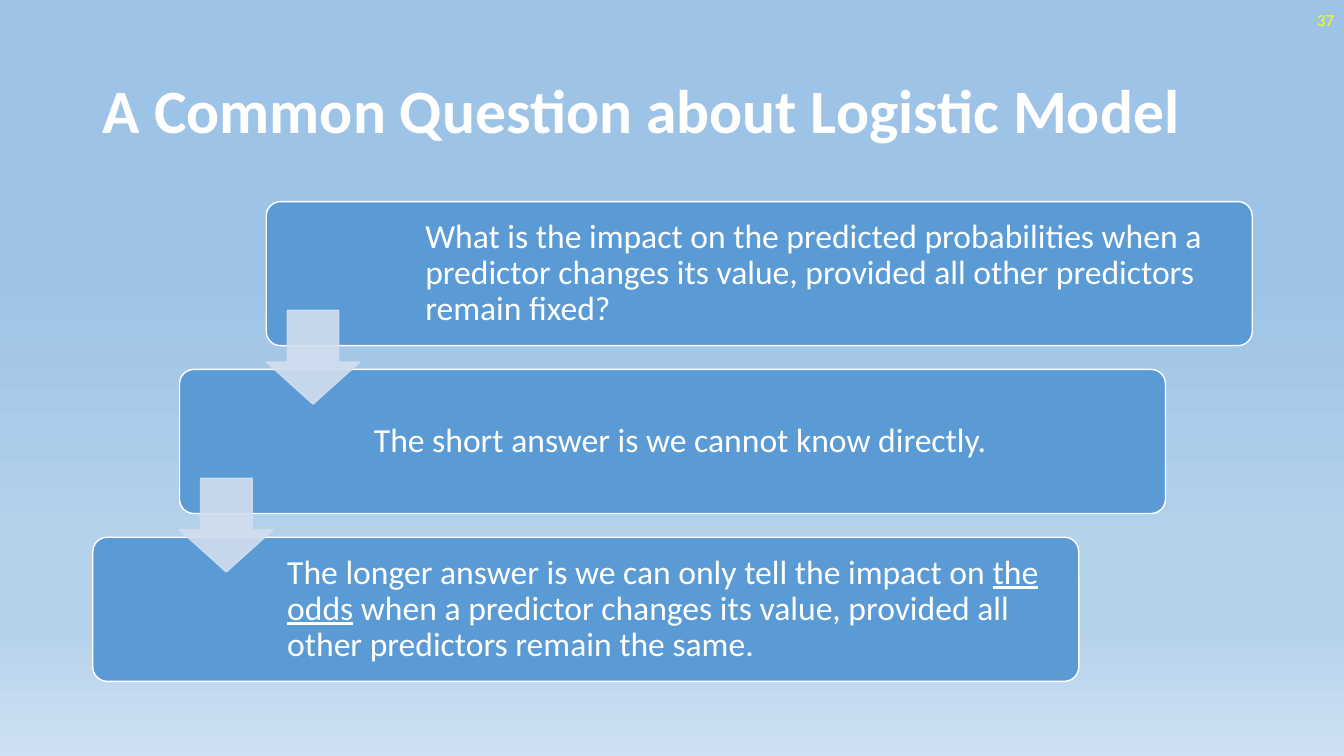
"""Build the slide on a common question about the logistic model."""
from dataclasses import dataclass

from lxml import etree
from pptx import Presentation
from pptx.dml.color import RGBColor
from pptx.enum.shapes import MSO_SHAPE
from pptx.enum.text import MSO_ANCHOR, PP_ALIGN
from pptx.oxml.ns import qn
from pptx.shapes.autoshape import Shape
from pptx.shapes.group import GroupShape
from pptx.slide import Slide
from pptx.text.text import TextFrame, _Paragraph
from pptx.util import Inches, Pt

ROUNDED = MSO_SHAPE.ROUNDED_RECTANGLE
DOWN_ARROW = MSO_SHAPE.DOWN_ARROW
MIDDLE = MSO_ANCHOR.MIDDLE
LEFT = PP_ALIGN.LEFT
RIGHT = PP_ALIGN.RIGHT

FONT = "Calibri"
WHITE = RGBColor(0xFF, 0xFF, 0xFF)
YELLOW = RGBColor(0xFF, 0xFF, 0x00)
CARD_BLUE = RGBColor(0x5B, 0x9B, 0xD5)
ARROW_BLUE = RGBColor(0xD2, 0xDE, 0xEF)
SKY_BLUE = RGBColor(0x9D, 0xC3, 0xE6)
PALE_BLUE = RGBColor(0xB5, 0xD2, 0xEC)
MIST_BLUE = RGBColor(0xCE, 0xE1, 0xF2)
BACKDROP = ((35, SKY_BLUE), (74, PALE_BLUE), (83, PALE_BLUE), (100, MIST_BLUE))

FIRST_LEFT, FIRST_TOP = 2.64, 2.0
STEP_LEFT, STEP_DOWN = -0.86, 3.33 / 2
CARD_WIDTH, CARD_HEIGHT = 9.78, 1.43
CARD_MARGIN = 0.04
ARROW_SIZE, ARROW_DROP = 0.93, 1.08
ARROW_OPACITY = 90


@dataclass(frozen=True)
class Phrase:
    """A piece of wording with one look."""

    wording: str
    underlined: bool = False


@dataclass(frozen=True)
class Step:
    """One card of the staircase."""

    text_indent: float
    phrases: tuple[Phrase, ...]


STEPS = (
    Step(1.48, (Phrase("What is the impact on the predicted probabilities when a predictor "
                       "changes its value, provided all other predictors remain fixed?"),)),
    Step(1.83, (Phrase("The short answer is we cannot know directly."),)),
    Step(1.83, (Phrase("The longer answer is we can only tell the impact on "),
                Phrase("the odds", underlined=True),
                Phrase(" when a predictor changes its value, provided all other "
                       "predictors remain the same."))),
)


def paint_background(slide: Slide) -> None:
    """Fill the background with the vertical gradient."""
    fill = slide.background.fill
    fill.gradient()
    fill.gradient_angle = 270
    stops = next(slide.element.iter(qn("a:gsLst")))
    for stop in list(stops):
        stops.remove(stop)
    for percent, color in BACKDROP:
        stop = etree.SubElement(stops, qn("a:gs"), pos=str(percent * 1000))
        etree.SubElement(stop, qn("a:srgbClr"), val=str(color))


def add_run(paragraph: _Paragraph, wording: str, size: int, color: RGBColor,
            bold: bool = False, underlined: bool = False) -> None:
    """Add one formatted run."""
    run = paragraph.add_run()
    run.text = wording
    font = run.font
    font.name = FONT
    font.size = Pt(size)
    font.color.rgb = color
    font.bold = bold
    font.underline = underlined


def prepare(frame: TextFrame, align: PP_ALIGN) -> _Paragraph:
    """Wrap and centre a frame vertically, and give its first paragraph."""
    frame.word_wrap = True
    frame.vertical_anchor = MIDDLE
    paragraph = frame.paragraphs[0]
    paragraph.alignment = align
    return paragraph


def add_block(group: GroupShape, kind: MSO_SHAPE, box: tuple[float, ...],
              adjustments: tuple[float, ...], fill: RGBColor, line: RGBColor) -> Shape:
    """Add a filled and outlined preset shape."""
    block = group.shapes.add_shape(kind, *map(Inches, box))
    block.shadow.inherit = False
    for index, value in enumerate(adjustments):
        block.adjustments[index] = value
    block.fill.solid()
    block.fill.fore_color.rgb = fill
    block.line.color.rgb = line
    block.line.width = Pt(1)
    return block


def add_step(group: GroupShape, step: Step, left: float, top: float) -> None:
    """Add a card and its wording."""
    add_block(group, ROUNDED, (left, top, CARD_WIDTH, CARD_HEIGHT), (0.1,), CARD_BLUE, WHITE)
    width = CARD_WIDTH - step.text_indent - CARD_MARGIN
    height = CARD_HEIGHT - 2 * CARD_MARGIN
    wording = group.shapes.add_textbox(Inches(left + step.text_indent), Inches(top + CARD_MARGIN),
                                       Inches(width), Inches(height))
    frame = wording.text_frame
    frame.margin_left = frame.margin_right = Inches(0.1)
    frame.margin_top = frame.margin_bottom = Inches(0.1)
    paragraph = prepare(frame, LEFT)
    paragraph.line_spacing = 0.9
    for phrase in step.phrases:
        add_run(paragraph, phrase.wording, 24, WHITE, underlined=phrase.underlined)


def add_arrow(group: GroupShape, left: float, top: float) -> None:
    """Add a translucent arrow leading to the next card."""
    arrow = add_block(group, DOWN_ARROW, (left, top, ARROW_SIZE, ARROW_SIZE),
                      (0.55, 0.45), ARROW_BLUE, ARROW_BLUE)
    for color in arrow.element.spPr.iter(qn("a:srgbClr")):
        etree.SubElement(color, qn("a:alpha"), val=str(ARROW_OPACITY * 1000))


def main() -> None:
    """Build and save the slide."""
    deck = Presentation()
    deck.slide_width, deck.slide_height = Inches(13.33), Inches(7.5)
    slide = deck.slides.add_slide(deck.slide_layouts.get_by_name("Title Only"))
    paint_background(slide)

    title = slide.shapes.title
    title.left, title.top = Inches(0.92), Inches(0.4)
    title.width, title.height = Inches(11.5), Inches(1.45)
    heading = prepare(title.text_frame, LEFT)
    heading.line_spacing = 0.9
    add_run(heading, "A Common Question about Logistic Model", 44, WHITE, bold=True)

    page_number = slide.shapes.add_textbox(Inches(10.33), Inches(0), Inches(3), Inches(0.4))
    add_run(prepare(page_number.text_frame, RIGHT), "37", 12, YELLOW)

    staircase = slide.shapes.add_group_shape()
    corners = [(FIRST_LEFT + STEP_LEFT * index, FIRST_TOP + STEP_DOWN * index)
               for index in range(len(STEPS))]
    for step, (left, top) in zip(STEPS, corners):
        add_step(staircase, step, left, top)
    for left, top in corners[:-1]:
        add_arrow(staircase, left, top + ARROW_DROP)

    deck.save("out.pptx")


if __name__ == "__main__":
    main()
